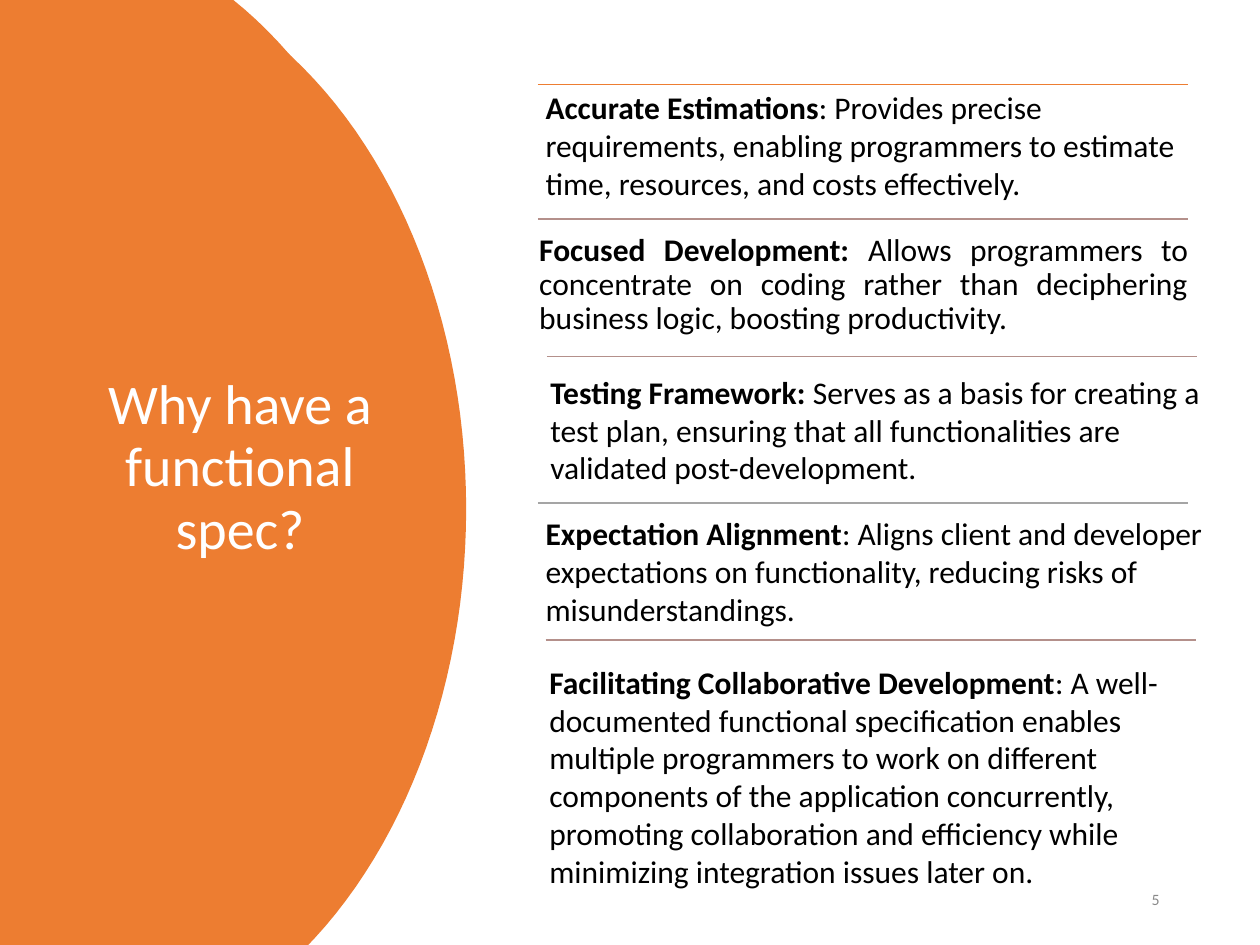
import math
from lxml import etree
from pptx import Presentation
from pptx import util as u
from pptx.dml.color import RGBColor
from pptx.enum import shapes, text
from pptx.oxml import ns

THEME = {
    "font": "Calibri",
    "orange": "ED7D31", "rose": "B4908B", "gray": "A5A5A5",
    "white": "FFFFFF", "black": "000000", "pale": "898989",
    "title": 32, "body": 18, "page": 9,
}

TITLE = "Why have a functional spec?"
PAGE = "5"
POINTS = [
    ("Accurate Estimations",
     ": Provides precise requirements, enabling programmers to estimate time, resources, and costs effectively.",
     (4.33, 0.69, 5.1, 0.92), {"pad": (0, 0.01, 0, 0)}),
    ("Focused Development: ",
     "Allows programmers to concentrate on coding rather than deciphering business logic, boosting productivity.",
     (4.27, 1.82, 5.16, 0.86),
     {"pad": (0.01, 0.04, 0, 0), "align": "JUSTIFY", "lead": 0.9, "before": 3.1}),
    ("Testing Framework: ",
     "Serves as a basis for creating a test plan, ensuring that all functionalities are validated post-development.",
     (4.27, 2.91, 5.4, 1.31), {"pad": (0.1, 0.05, 0.1, 0.05)}),
    ("Expectation Alignment",
     ": Aligns client and developer expectations on functionality, reducing risks of misunderstandings.",
     (4.33, 4.04, 5.58, 0.95), {"pad": (0, 0.04, 0, 0)}),
    ("Facilitating Collaborative Development",
     ": A well-documented functional specification enables multiple programmers to work on different components of the application concurrently, promoting collaboration and efficiency while minimizing integration issues later on.",
     (4.35, 5.26, 5.32, 1.82), {"pad": (0.01, 0, 0, 0)}),
]
RULES = [
    (4.27, 0.67, "orange"),
    (4.27, 1.74, "rose"),
    (4.34, 2.83, "rose"),
    (4.27, 3.99, "gray"),
    (4.33, 5.08, "rose"),
]
RULE_WIDTH = 5.16
ARCS = [(0, 0), (0.28, 0.29)]
ARC_X, ARC_Y, WIDE, TALL = 0.24, 3.75, 3.18, 4.35
STEPS = 60


def color(name):
    return RGBColor.from_string(THEME[name])


def add_text(slide, parts, place, size="body", ink="black", align="LEFT",
             pad=(0, 0, 0, 0), lead=None, before=0):
    box = slide.shapes.add_textbox(*map(u.Inches, place))
    frame = box.text_frame
    frame.word_wrap = True
    frame.auto_size = text.MSO_AUTO_SIZE.SHAPE_TO_FIT_TEXT
    frame.margin_left, frame.margin_top, frame.margin_right, frame.margin_bottom = map(u.Inches, pad)
    para = frame.paragraphs[0]
    para.alignment = getattr(text.PP_ALIGN, align)
    if lead:
        para.line_spacing = lead
    if before:
        para.space_before = u.Pt(before)
    for words, bold in parts:
        run = para.add_run()
        run.text = words
        run.font.name = THEME["font"]
        run.font.size = u.Pt(THEME[size])
        run.font.bold = bold
        run.font.color.rgb = color(ink)


def add_arc(slide, right, down):
    half = math.asin(ARC_Y / TALL)
    angles = [half - 2 * half * step / STEPS for step in range(STEPS + 1)]
    curve = [(ARC_X + right + WIDE * math.cos(turn),
              ARC_Y + down + TALL * math.sin(turn)) for turn in angles]
    path = slide.shapes.build_freeform(0, u.Inches(down))
    corner = (0, 2 * ARC_Y + down)
    path.add_line_segments([(u.Inches(x), u.Inches(y)) for x, y in [corner] + curve])
    shape = path.convert_to_shape()
    shape.shadow.inherit = False
    shape.fill.solid()
    shape.fill.fore_color.rgb = color("orange")
    shape.line.fill.background()


def add_rule(slide, left, top, ink):
    ends = (left, top, left + RULE_WIDTH, top)
    rule = slide.shapes.add_connector(shapes.MSO_CONNECTOR.STRAIGHT, *map(u.Inches, ends))
    rule.line.color.rgb = color(ink)
    rule.line.width = u.Pt(1)
    etree.SubElement(rule.element.spPr, ns.qn("a:effectLst"))


def main():
    deck = Presentation()
    deck.slide_width, deck.slide_height = u.Inches(10), u.Inches(7.5)
    slide = deck.slides.add_slide(deck.slide_layouts[6])
    for arc in ARCS:
        add_arc(slide, *arc)
    add_text(slide, [(TITLE, False)], (0.82, 2.91, 2.16, 1.55), size="title",
             ink="white", align="CENTER", pad=(0.01, 0.06, 0, 0), lead=0.93, before=4.2)
    for rule in RULES:
        add_rule(slide, *rule)
    for head, body, place, style in POINTS:
        add_text(slide, [(head, True), (body, False)], place, **style)
    add_text(slide, [(PAGE, False)], (9.13, 7.05, 0.09, 0.18), size="page",
             ink="pale", pad=(0.01, 0.01, 0, 0), before=0.6)
    deck.save("out.pptx")


if __name__ == "__main__":
    main()
